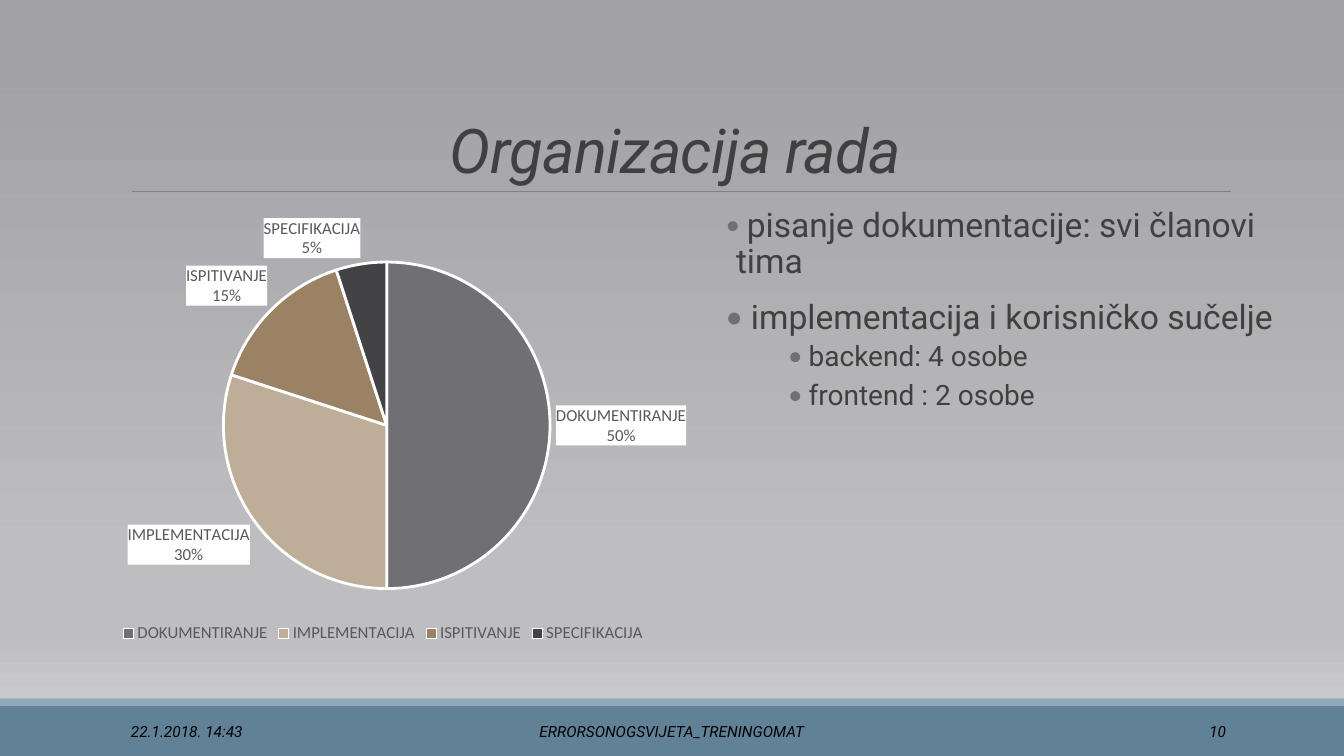
from lxml import etree
from pptx import Presentation
from pptx.chart.data import CategoryChartData
from pptx.dml.color import RGBColor
from pptx.enum.chart import XL_CHART_TYPE, XL_LABEL_POSITION, XL_LEGEND_POSITION
from pptx.enum.shapes import MSO_CONNECTOR, MSO_SHAPE
from pptx.enum.text import MSO_ANCHOR, MSO_AUTO_SIZE, PP_ALIGN
from pptx.oxml import parse_xml
from pptx.oxml.ns import nsdecls, qn
from pptx.util import Inches, Pt

LEFT, MID, RIGHT = PP_ALIGN.LEFT, PP_ALIGN.CENTER, PP_ALIGN.RIGHT
W, H = 13.33, 7.5
FONT = "Roboto"
COLORS = {"text": "404040", "label": "595959", "bullet": "6F6F74", "foot": "000000",
          "bar": "618197", "strip": "92A9B9", "rule": "808080", "white": "FFFFFF"}
FADE = [(8, "A1A1A6"), (74, "BEBEC1"), (83, "BEBEC1"), (100, "D4D4D5")]

TITLE = "Organizacija rada"
SHARES = [("DOKUMENTIRANJE", 50, "6F6F74"), ("IMPLEMENTACIJA", 30, "BEAE98"),
          ("ISPITIVANJE", 15, "9C8265"), ("SPECIFIKACIJA", 5, "434346")]
# Runs of (text, size) for each point, with its level
POINTS = [(0, [(" ", 20), ("pisanje dokumentacije: svi članovi tima", 24)]),
          (0, [(" implementacija i korisničko sučelje", 24)]),
          (3, [("backend: 4 osobe", 20)]),
          (3, [("frontend : 2 osobe", 20)])]
# Level: left margin, hanging indent, space before, space after
LEVELS = {0: (0.1, -0.1, 12, 2), 3: (0.82, -0.2, 2, 4)}
FOOT = [("22.1.2018. 14:43", 1.2, 2.7, LEFT),
        ("ERRORSONOGSVIJETA_TRENINGOMAT", 4.03, 5.27, MID),
        ("10", 10.83, 1.43, RIGHT)]
TOP, TALL = 2.02, 4.4
PLOT = {"x": 0.28, "y": 0.13, "w": 0.45, "h": 0.74}


def rgb(name):
    return RGBColor.from_string(COLORS.get(name, name))


def box(x, y, w, h):
    return [Inches(v) for v in (x, y, w, h)]


def style(font, size, color, name=FONT, italic=None):
    font.size, font.name, font.italic = Pt(size), name, italic
    font.color.rgb = rgb(color)


def paint(slide):
    """Fill the background with the downward fade."""
    fill = slide.background.fill
    fill.gradient()
    fill.gradient_angle = 270
    stops = slide.background._cSld.find(".//" + qn("a:gsLst"))
    for old in list(stops):
        stops.remove(old)
    for share, color in FADE:
        stop = etree.SubElement(stops, qn("a:gs"), pos=str(share * 1000))
        etree.SubElement(stop, qn("a:srgbClr"), val=color)


def add_band(slide, y, h, color):
    band = slide.shapes.add_shape(MSO_SHAPE.RECTANGLE, *box(0, y, W, h))
    band.shadow.inherit = False
    band.fill.solid()
    band.fill.fore_color.rgb = rgb(color)
    band.line.fill.background()


def add_rule(slide, x, y, end):
    rule = slide.shapes.add_connector(MSO_CONNECTOR.STRAIGHT, *box(x, y, end, y))
    rule.line.color.rgb = rgb("rule")
    rule.line.width = Pt(0.5)
    etree.SubElement(rule._element.spPr, qn("a:effectLst"))


def set_title(slide):
    title = slide.shapes.title
    title.left, title.top, title.width, title.height = box(1.2, 0.31, 11, 1.59)
    frame = title.text_frame
    frame.text = TITLE
    frame.auto_size = MSO_AUTO_SIZE.NONE
    frame.vertical_anchor = MSO_ANCHOR.BOTTOM
    para = frame.paragraphs[0]
    para.alignment, para.line_spacing = MID, 0.85
    style(para.font, 44, "text", italic=True)
    para.runs[0]._r.get_or_add_rPr().set("spc", "-50")


def add_pie(slide):
    data = CategoryChartData(number_format="0")
    data.categories = [name for name, _, _ in SHARES]
    data.add_series("Series 1", [share for _, share, _ in SHARES])
    chart = slide.shapes.add_chart(XL_CHART_TYPE.PIE, *box(0.2, TOP, 7.2, TALL), data).chart
    style(chart.font, 10, "foot", "Calibri")
    chart.has_title = False
    chart.has_legend = True
    chart.legend.position = XL_LEGEND_POSITION.BOTTOM
    chart.legend.include_in_layout = False
    style(chart.legend.font, 12, "label", "Calibri")

    plot = chart.plots[0]
    plot.vary_by_categories = True
    for i, (_, _, color) in enumerate(SHARES):
        part = plot.series[0].points[i].format
        part.fill.solid()
        part.fill.fore_color.rgb = rgb(color)
        part.line.color.rgb = rgb("white")
        part.line.width = Pt(2)

    labels = plot.series[0].data_labels
    labels.show_category_name = labels.show_percentage = True
    labels.show_value = False
    labels.number_format, labels.number_format_is_linked = "0%", False
    labels.position = XL_LABEL_POSITION.OUTSIDE_END
    style(labels.font, 12, "label", "Calibri")
    labels._element.find(qn("c:txPr")).addprevious(parse_xml(
        f'<c:spPr {nsdecls("c", "a")}><a:solidFill><a:srgbClr val="{COLORS["white"]}"/>'
        '</a:solidFill><a:ln><a:noFill/></a:ln></c:spPr>'))

    area = chart._chartSpace.find(".//" + qn("c:plotArea"))
    for old in area.findall(qn("c:layout")):
        area.remove(old)
    layout = etree.Element(qn("c:layout"))
    area.insert(0, layout)
    manual = etree.SubElement(layout, qn("c:manualLayout"))
    etree.SubElement(manual, qn("c:layoutTarget"), val="inner")
    for side in "xy":
        etree.SubElement(manual, qn(f"c:{side}Mode"), val="edge")
    for side, share in PLOT.items():
        etree.SubElement(manual, qn(f"c:{side}"), val=str(share))


def add_points(slide):
    frame = slide.shapes.add_textbox(*box(7.2, TOP, 5.92, TALL)).text_frame
    frame.word_wrap = True
    frame.margin_left = frame.margin_right = 0
    for i, (level, runs) in enumerate(POINTS):
        para = frame.add_paragraph() if i else frame.paragraphs[0]
        margin, indent, before, after = LEVELS[level]
        para.level, para.line_spacing = level, 0.9
        para.space_before, para.space_after = Pt(before), Pt(after)
        style(para.font, runs[-1][1], "text")
        for text, size in runs:
            run = para.add_run()
            run.text = text
            style(run.font, size, "text")
        props = para._p.get_or_add_pPr()
        props.set("marL", str(Inches(margin)))
        props.set("indent", str(Inches(indent)))
        color = etree.Element(qn("a:buClr"))
        etree.SubElement(color, qn("a:srgbClr"), val=COLORS["bullet"])
        face = etree.Element(qn("a:buFont"), typeface="Calibri")
        mark = etree.Element(qn("a:buChar"), char="•")
        for part in (color, face, mark):
            props.find(qn("a:defRPr")).addprevious(part)


def add_foot(slide, text, x, w, align):
    frame = slide.shapes.add_textbox(*box(x, 7.06, w, 0.4)).text_frame
    frame.word_wrap = True
    frame.vertical_anchor = MSO_ANCHOR.MIDDLE
    frame.text = text
    para = frame.paragraphs[0]
    para.alignment = align
    style(para.font, 11, "foot", italic=True)


def main():
    deck = Presentation()
    deck.slide_width, deck.slide_height = Inches(W), Inches(H)
    slide = deck.slides.add_slide(deck.slide_layouts[5])
    paint(slide)
    add_band(slide, 7, 0.5, "bar")
    add_band(slide, 6.93, 0.07, "strip")
    add_rule(slide, 1.31, 1.9, 12.21)
    set_title(slide)
    add_pie(slide)
    add_points(slide)
    for item in FOOT:
        add_foot(slide, *item)
    deck.save("out.pptx")


if __name__ == "__main__":
    main()
